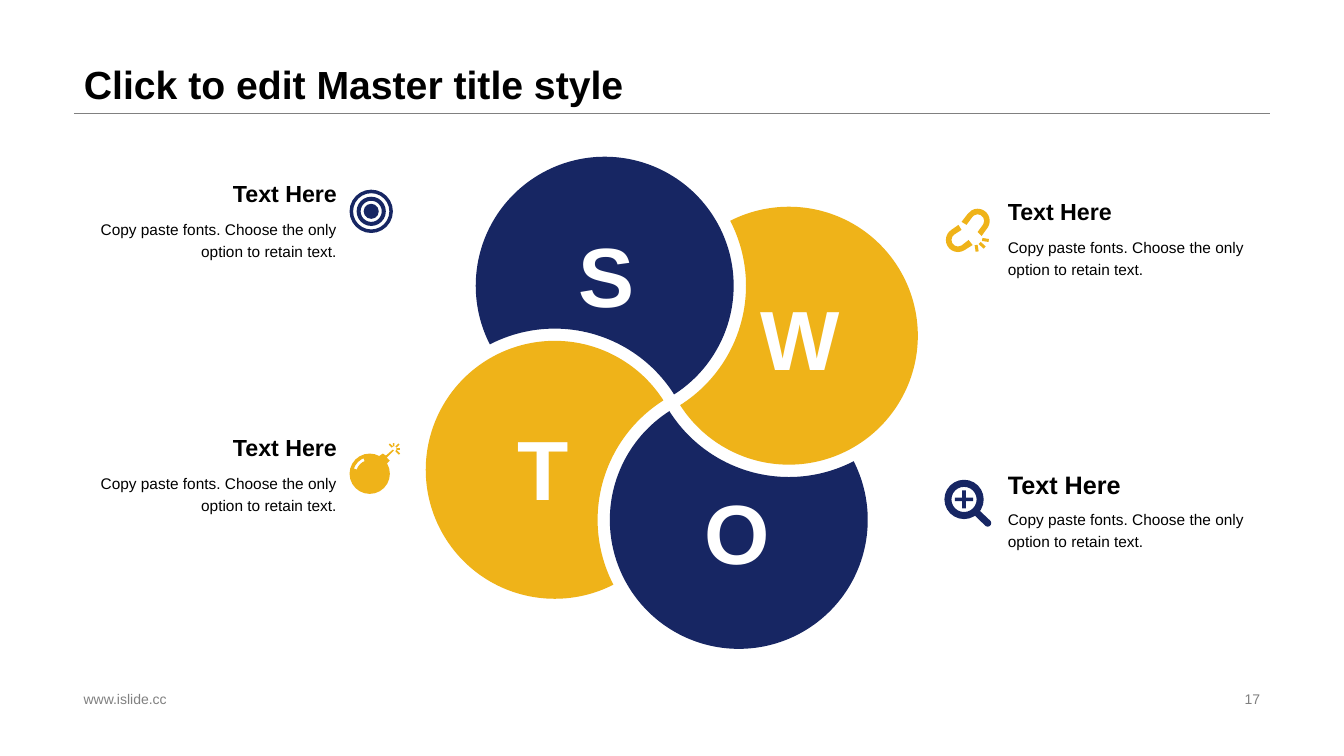
from collections import namedtuple
from math import acos, atan2, ceil, cos, degrees, dist, floor, hypot, radians, sin

from lxml.etree import Element, SubElement
from pptx import Presentation
from pptx.dml.color import RGBColor
from pptx.enum.shapes import MSO_CONNECTOR
from pptx.enum.text import MSO_ANCHOR, MSO_AUTO_SIZE, PP_ALIGN
from pptx.oxml.ns import qn
from pptx.util import Cm, Pt

NAVY = RGBColor(0x17, 0x26, 0x63)
GOLD = RGBColor(0xEF, 0xB3, 0x19)
BLACK = RGBColor(0x00, 0x00, 0x00)
GREY = RGBColor(0x80, 0x80, 0x80)
WHITE = RGBColor(0xFF, 0xFF, 0xFF)

FONT = "Arial"
MARGIN = 1.86
CONTENT_WIDTH = 30.15
RULE_TOP = 2.85
ICON_UNIT = Cm(1.27) / 50  # icons are drawn on a grid of 50 units

BODY = "Copy paste fonts. Choose the only option to retain text."

# A contour point; with a radius, an arc leads to it instead of a straight line.
Node = namedtuple("Node", "x y radius start sweep", defaults=(0, 0, 0))


def format_text(frame, text, size, color=BLACK, bold=False, align=PP_ALIGN.LEFT,
                anchor=MSO_ANCHOR.TOP, spacing=1.0, wrap=True):
    frame.auto_size = MSO_AUTO_SIZE.NONE
    frame.word_wrap = wrap
    frame.vertical_anchor = anchor
    para = frame.paragraphs[0]
    para.alignment = align
    para.line_spacing = spacing
    span = para.add_run()
    span.text = text
    span.font.name = FONT
    span.font.size = Pt(size)
    span.font.bold = bold
    span.font.color.rgb = color


def add_text(page, left, top, width, height, text, size, **options):
    box = page.shapes.add_textbox(Cm(left), Cm(top), Cm(width), Cm(height))
    format_text(box.text_frame, text, size, **options)


def arc(center, radius, start, end):
    """Nodes of an arc, split at its extremes; degrees clockwise from the right."""
    low, high = sorted((start, end))
    extremes = [90 * quarter for quarter in range(ceil(low / 90), floor(high / 90) + 1)]
    stops = sorted({start, end, *extremes}, reverse=end < start)
    nodes = []
    for before, stop in zip([start] + stops, stops):
        x = center[0] + radius * cos(radians(stop))
        y = center[1] + radius * sin(radians(stop))
        nodes.append(Node(x, y, radius, before, stop - before) if nodes else Node(x, y))
    return nodes


def bar(start, end, thickness):
    """Corners of a straight bar between two points."""
    length = dist(start, end)
    across = (end[1] - start[1]) / length * thickness / 2
    down = (start[0] - end[0]) / length * thickness / 2
    return [(start[0] + across, start[1] + down), (end[0] + across, end[1] + down),
            (end[0] - across, end[1] - down), (start[0] - across, start[1] - down)]


def add_outline(page, left, top, unit, contours, color):
    """Fill closed contours; a contour inside another one cuts a hole."""
    contours = [[Node(*point) for point in contour] for contour in contours]
    placed = [[(Cm(left) + node.x * unit, Cm(top) + node.y * unit) for node in contour]
              for contour in contours]
    builder = page.shapes.build_freeform(*placed[0][0])
    for number, points in enumerate(placed):
        if number:
            builder.move_to(*points[0])
        builder.add_line_segments(points[1:], close=True)
    shape = builder.convert_to_shape()
    shape.shadow.inherit = False
    shape.fill.solid()
    shape.fill.fore_color.rgb = color
    shape.line.fill.background()

    nodes = [node for contour in contours for node in contour[1:]]
    for line, node in zip(list(shape._element.iter(qn("a:lnTo"))), nodes):
        if node.radius:
            radius = str(round(node.radius * unit))
            curve = Element(qn("a:arcTo"), wR=radius, hR=radius,
                            stAng=str(round(node.start % 360 * 60000)),
                            swAng=str(round(node.sweep * 60000)))
            line.getparent().replace(line, curve)


def target_icon():
    return [arc((21.5, 21.5), radius, 0, 360) for radius in (21.5, 18, 14.5, 10.5, 7.5)]


def bomb_icon():
    center = (20, 31)
    neck_and_fuse = [(30, 13), (33, 11), (36, 13), (43, 7),
                     (44, 8), (37, 15), (40, 18), (37, 21)]
    body = arc(center, 20, -30, 299) + neck_and_fuse
    gleam = arc(center, 16.5, 198, 248) + arc(center, 13.5, 248, 198)
    sparks = [((39.5, 1.5), (42.5, 4.5)), ((46, 8), (49.5, 11.5)),
              ((46.5, 6.5), (50, 6.5)), ((43.7, 0.5), (43.7, 4)), ((49, 1.5), (46, 4.5))]
    return [body, gleam] + [bar(start, end, 1.6) for start, end in sparks]


def magnifier_icon():
    center = (19.5, 19.5)
    body = arc(center, 19.5, 56, 396) + arc((43, 43), 3.5, -45, 135)
    lens = arc(center, 12.5, 0, 360)
    reach, half = 9, 1.8
    plus = [(-half, -reach), (half, -reach), (half, -half), (reach, -half),
            (reach, half), (half, half), (half, reach), (-half, reach),
            (-half, half), (-reach, half), (-reach, -half), (-half, -half)]
    return [body, lens, [(center[0] + x, center[1] + y) for x, y in plus]]


def chain_icon():
    def link(center, start, end, first, outer, inner, last):
        return ([first] + arc(center, 12, start, end) + [outer, inner]
                + arc(center, 6.5, end, start) + [last])

    links = [link((13.5, 33), 57, 237, (28, 38), (14, 18), (17, 23), (24, 33)),
             link((33, 14), 35, -145, (37, 29), (17, 15), (22, 18), (33, 25))]
    sparks = [((31.5, 38), (32.5, 44.5)), ((37.5, 32.5), (44, 33.5)),
              ((35, 36), (40, 40.5))]
    return links + [bar(start, end, 3) for start, end in sparks]


def quarter_turns(point, turns):
    node = Node(*point)
    for _ in range(turns):
        node = node._replace(x=-node.y, y=node.x, start=node.start + 90)
    return node


def petal_contour(center, radius, notch_radius):
    """A disc, cut by a larger circle around the petal before it."""
    neighbour = quarter_turns(center, 3)
    across, down = neighbour.x - center[0], neighbour.y - center[1]
    gap = hypot(across, down)
    toward = degrees(atan2(down, across))
    half = degrees(acos((gap**2 + radius**2 - notch_radius**2) / (2 * gap * radius)))
    notch = degrees(acos((gap**2 + notch_radius**2 - radius**2) / (2 * gap * notch_radius)))
    return (arc(center, radius, toward + half, toward + 360 - half)
            + arc(neighbour, notch_radius, toward + 180 + notch, toward + 180 - notch))


def add_pinwheel(page, hub_left, hub_top):
    petal = petal_contour((-1.69, -2.95), 3.25, 3.56)
    width, height = 2.54, 2.82
    for turns, letter in enumerate("SWOT"):
        contour = [quarter_turns(node, turns) for node in petal]
        add_outline(page, hub_left, hub_top, Cm(1), [contour], (NAVY, GOLD)[turns % 2])
        middle = quarter_turns((-1.64, -3.24), turns)
        add_text(page, hub_left + middle.x - width / 2, hub_top + middle.y - height / 2,
                 width, height, letter, 60, color=WHITE, bold=True,
                 align=PP_ALIGN.CENTER, wrap=False)


def add_callout(page, left, top, align, heading_size=16.6):
    width = 6.86
    add_text(page, left, top, width, 0.91, "Text Here", heading_size, bold=True, align=align)
    add_text(page, left, top + 0.93, width, 1.45, BODY, 11, align=align, spacing=1.2)


def add_header(page):
    title = page.shapes.title
    title.left, title.top = Cm(MARGIN), Cm(0)
    title.width, title.height = Cm(CONTENT_WIDTH), Cm(RULE_TOP)
    format_text(title.text_frame, "Click to edit Master title style", 28, bold=True,
                anchor=MSO_ANCHOR.BOTTOM, spacing=0.9)
    rule = page.shapes.add_connector(MSO_CONNECTOR.STRAIGHT, Cm(MARGIN), Cm(RULE_TOP),
                                     Cm(MARGIN + CONTENT_WIDTH), Cm(RULE_TOP))
    rule.line.color.rgb = GREY
    rule.line.width = Pt(0.25)
    SubElement(rule._element.spPr, qn("a:effectLst"))


def add_footer(page, top):
    number_width = 8.08
    style = {"color": GREY, "anchor": MSO_ANCHOR.MIDDLE}
    add_text(page, MARGIN, top, 11.51, 0.58, "www.islide.cc", 10, **style)
    add_text(page, MARGIN + CONTENT_WIDTH - number_width, top, number_width, 0.58,
             "17", 10, align=PP_ALIGN.RIGHT, **style)


def main():
    deck = Presentation()
    deck.slide_width, deck.slide_height = Cm(33.87), Cm(19.05)
    page = deck.slides.add_slide(deck.slide_layouts[5])
    add_header(page)
    add_footer(page, 17.32)
    add_pinwheel(page, 16.93, 10.15)
    for left, top, align, size in ((1.88, 4.39, PP_ALIGN.RIGHT, 16.6),
                                   (1.88, 10.8, PP_ALIGN.RIGHT, 16.6),
                                   (25.15, 4.85, PP_ALIGN.LEFT, 16.6),
                                   (25.15, 11.71, PP_ALIGN.LEFT, 18)):
        add_callout(page, left, top, align, size)
    for left, top, icon, color in ((8.81, 4.78, target_icon, NAVY),
                                   (8.81, 11.15, bomb_icon, GOLD),
                                   (23.8, 5.21, chain_icon, GOLD),
                                   (23.8, 12.09, magnifier_icon, NAVY)):
        add_outline(page, left, top, ICON_UNIT, icon(), color)
    deck.save("out.pptx")


if __name__ == "__main__":
    main()
